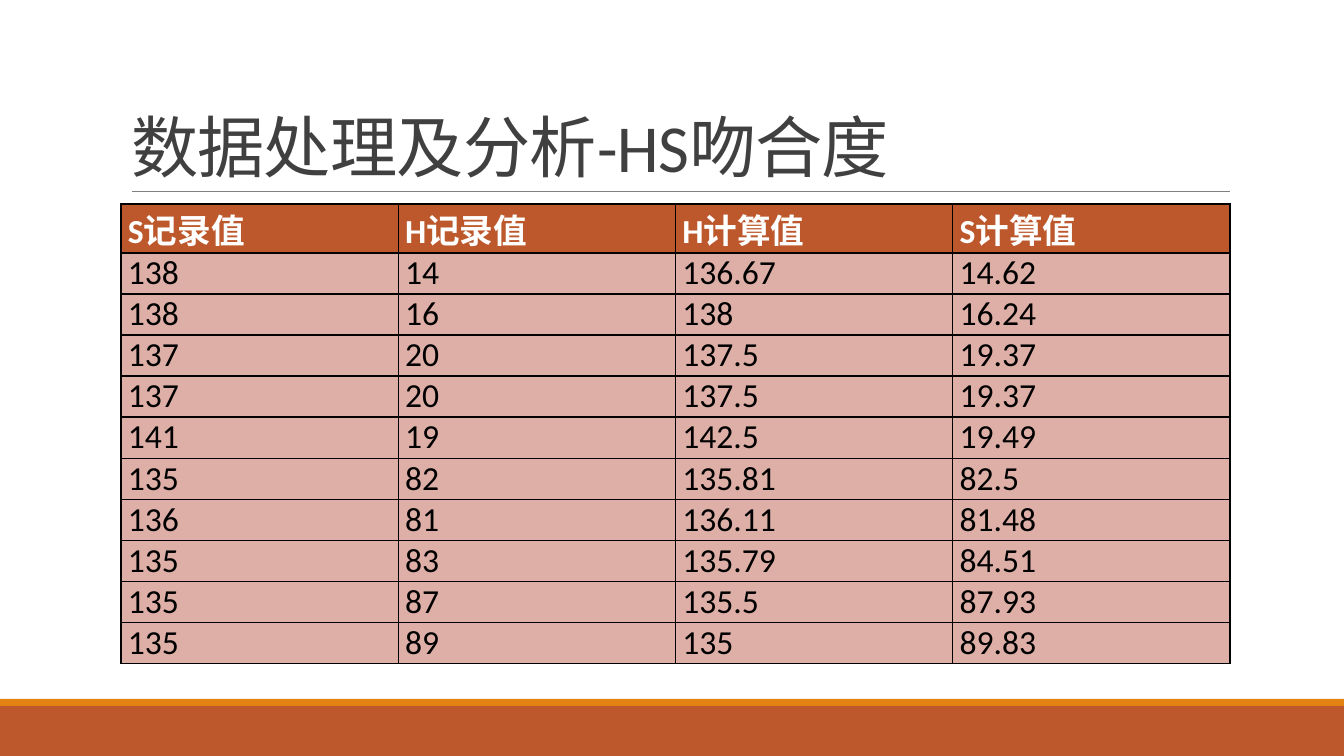
from lxml.etree import SubElement as Sub
from pptx import Presentation
from pptx.dml.color import RGBColor as Rgb
from pptx.enum.shapes import MSO_CONNECTOR as Conn, MSO_SHAPE as Shape
from pptx.enum.text import MSO_ANCHOR as Anchor, MSO_AUTO_SIZE as Fit, PP_ALIGN as Align
from pptx.oxml.ns import qn
from pptx.util import Emu, Pt

SCALE = 914400 / 100.8
HUES = {
    "rust": "BD582C",
    "gold": "E48312",
    "rose": "DEAFA7",
    "gray": "808080",
    "dark": "404040",
    "white": "FFFFFF",
    "black": "000000",
}
TITLE = "数据处理及分析-HS吻合度"
HEADS = ["S记录值", "H记录值", "H计算值", "S计算值"]
ROWS = [
    ["138", "14", "136.67", "14.62"],
    ["138", "16", "138", "16.24"],
    ["137", "20", "137.5", "19.37"],
    ["137", "20", "137.5", "19.37"],
    ["141", "19", "142.5", "19.49"],
    ["135", "82", "135.81", "82.5"],
    ["136", "81", "136.11", "81.48"],
    ["135", "83", "135.79", "84.51"],
    ["135", "87", "135.5", "87.93"],
    ["135", "89", "135", "89.83"],
]


def px(n):
    return Emu(round(n * SCALE))


def hue(name):
    return Rgb.from_string(HUES[name])


def write(frame, text, size=24, color="black", bold=False, space=None, track=None):
    para = frame.paragraphs[0]
    para.alignment = Align.LEFT
    para.line_spacing = space
    run = para.add_run()
    run.text = text
    font = run.font
    font.name = "Calibri"
    font.size = Pt(size)
    font.bold = bold
    font.color.rgb = hue(color)
    if track:
        font._element.set("spc", str(track))


def edge(cell):
    props = cell._tc.get_or_add_tcPr()
    for at, side in enumerate(("lnL", "lnR", "lnT", "lnB")):
        line = props.makeelement(qn(f"a:{side}"), {"w": str(Pt(1))})
        fill = Sub(line, qn("a:solidFill"))
        Sub(fill, qn("a:srgbClr"), val=HUES["black"])
        props.insert(at, line)


def band(slide, box, color):
    bar = slide.shapes.add_shape(Shape.RECTANGLE, *map(px, box))
    bar.shadow.inherit = False
    bar.fill.solid()
    bar.fill.fore_color.rgb = hue(color)
    bar.line.fill.background()


def footer(slide, box):
    x, y, w, h = box
    thin = 7
    band(slide, (x, y + thin, w, h - thin), "rust")
    band(slide, (x, y, w, thin), "gold")


def header(slide, box):
    x, y, w, h = box
    rule = slide.shapes.add_connector(
        Conn.STRAIGHT, px(x + 11), px(y + h), px(x + w), px(y + h))
    rule.line.color.rgb = hue("gray")
    rule.line.width = Pt(0.5)
    Sub(rule._element.spPr, qn("a:effectLst"))
    title = slide.shapes.title
    title.left, title.top, title.width, title.height = map(px, box)
    frame = title.text_frame
    frame.word_wrap = True
    frame.auto_size = Fit.NONE
    frame.vertical_anchor = Anchor.BOTTOM
    write(frame, TITLE, size=48, color="dark", space=0.85, track=-50)


def grid(slide, box):
    x, y, w, h = box
    data = [HEADS, *ROWS]
    step = 41
    table = slide.shapes.add_table(len(data), len(HEADS), *map(px, box)).table
    for col in table.columns:
        col.width = px(w / len(HEADS))
    for r, vals in enumerate(data):
        head = r == 0
        table.rows[r].height = px(h - step * len(ROWS) if head else step)
        for c, text in enumerate(vals):
            cell = table.cell(r, c)
            cell.margin_left = cell.margin_right = px(7)
            cell.margin_top = cell.margin_bottom = 0
            cell.vertical_anchor = Anchor.BOTTOM if head else Anchor.TOP
            cell.fill.solid()
            cell.fill.fore_color.rgb = hue("rust" if head else "rose")
            edge(cell)
            write(cell.text_frame, text, color="white" if head else "black", bold=head)


def main():
    deck = Presentation()
    deck.slide_width, deck.slide_height = px(1344), px(756)
    slide = deck.slides.add_slide(deck.slide_layouts[5])
    footer(slide, (0, 699, 1344, 57))
    header(slide, (121, 31, 1109, 160))
    grid(slide, (121, 204, 1109, 459))
    deck.save("out.pptx")


if __name__ == "__main__":
    main()
